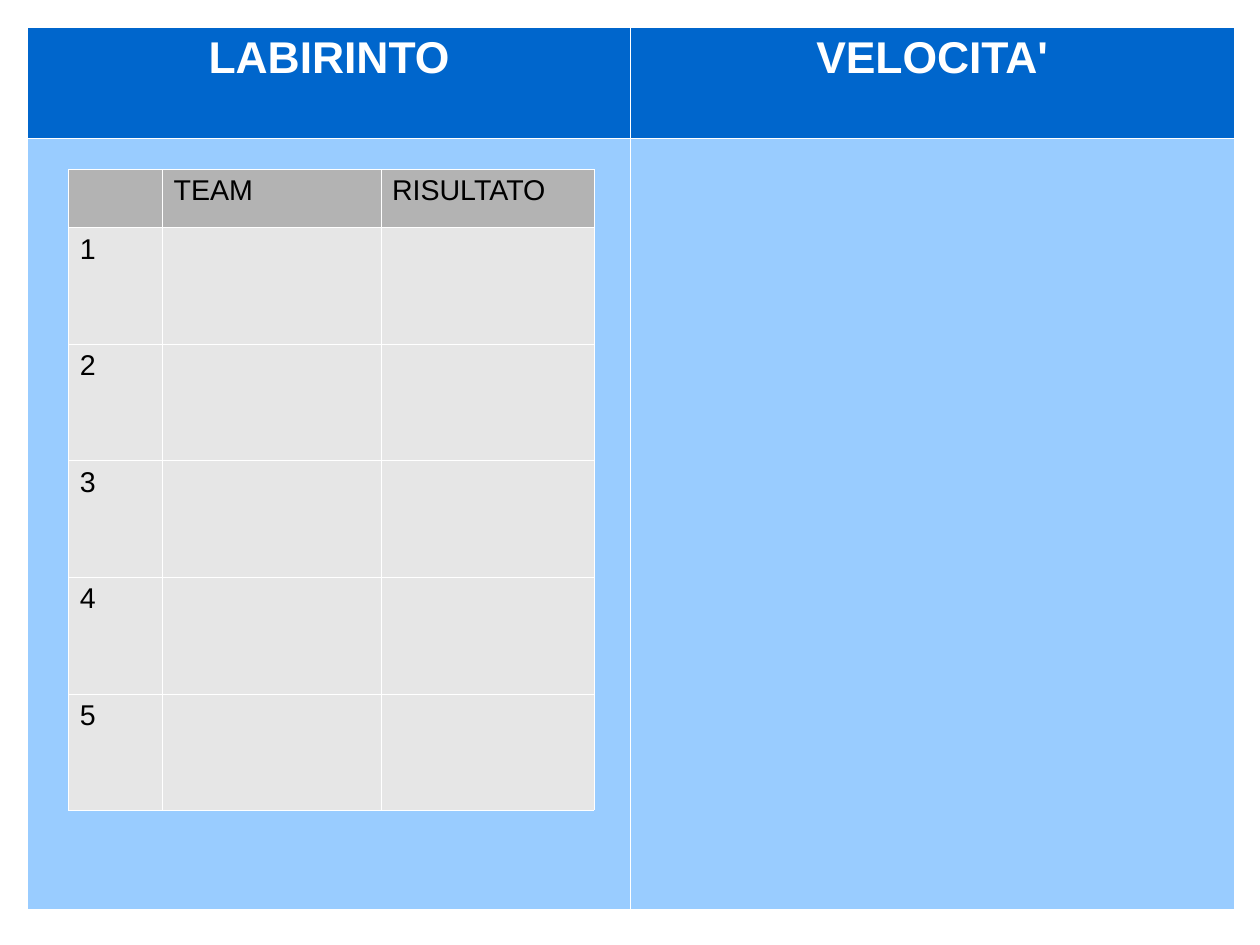
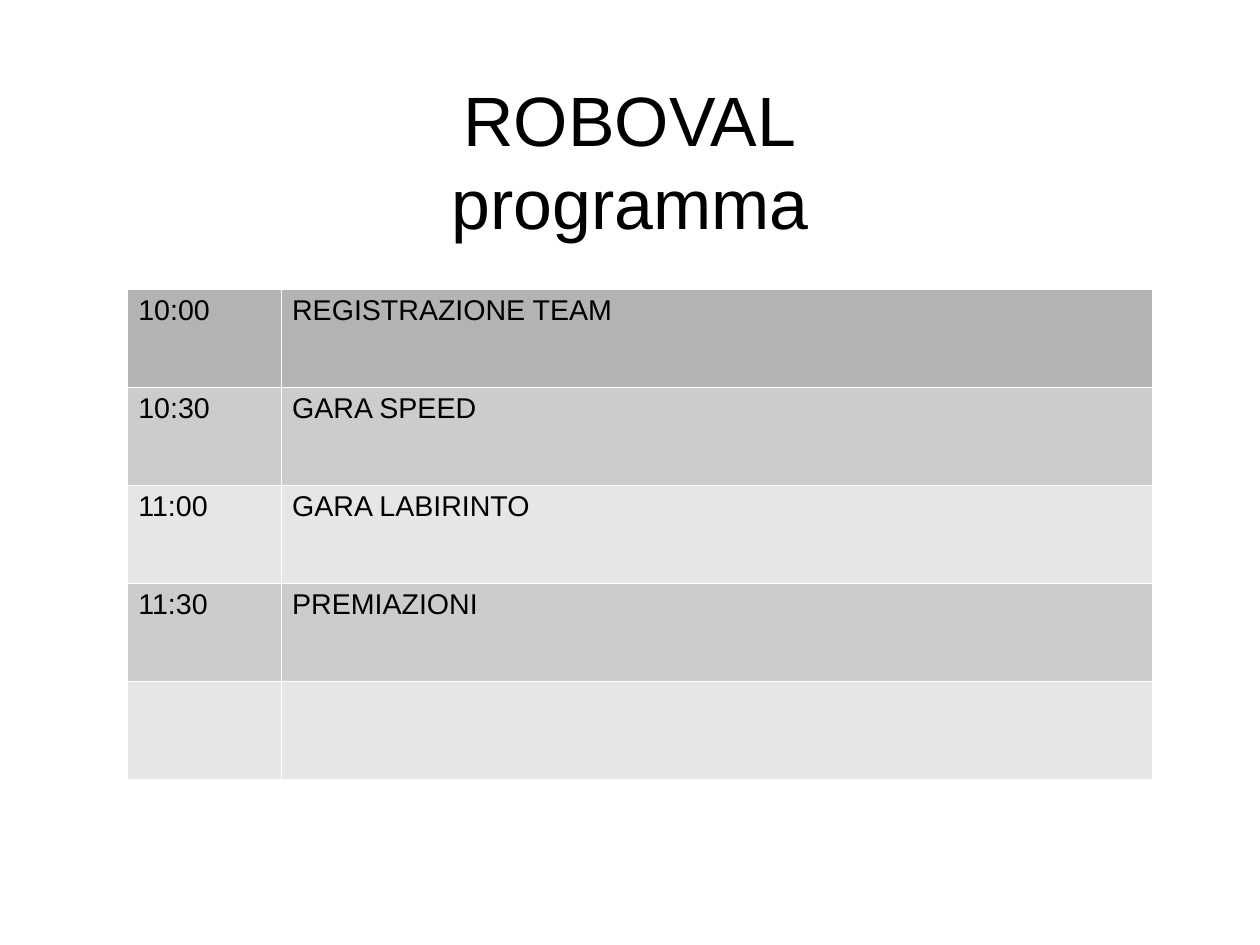
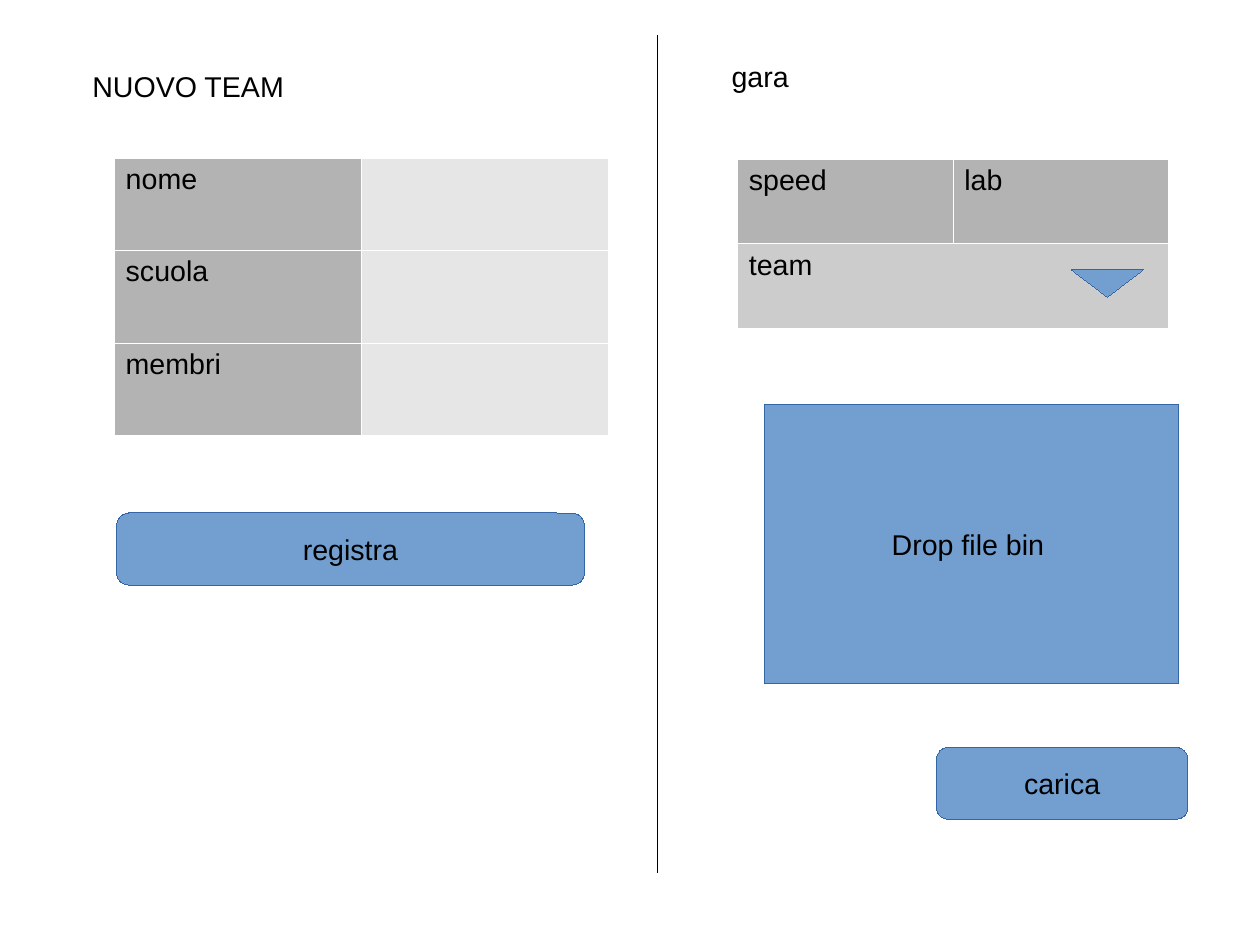
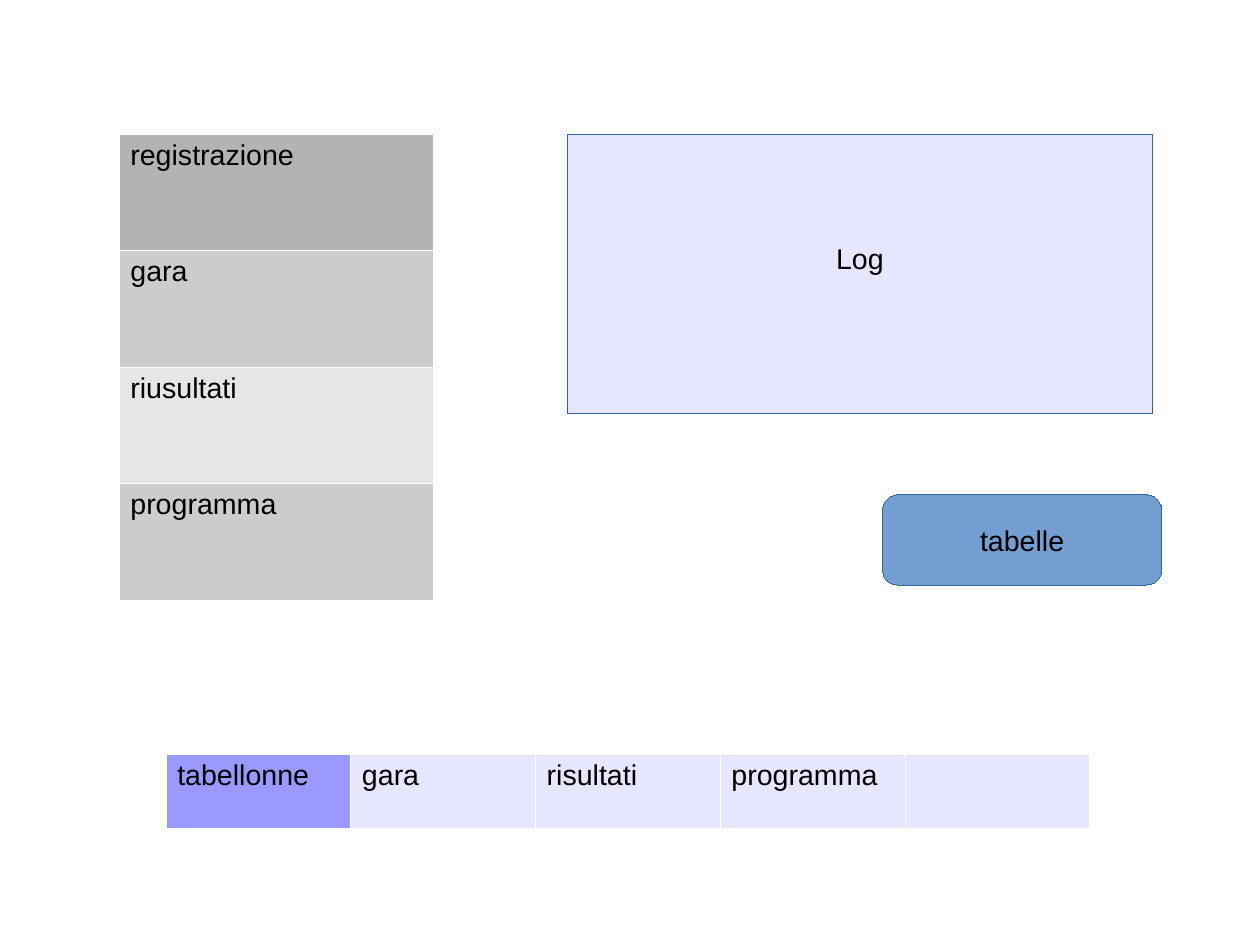
"""Build the four robot contest screens."""
from dataclasses import dataclass
from typing import Any, Optional

from lxml import etree
from pptx import Presentation
from pptx import util as u
from pptx.dml.color import RGBColor
from pptx.enum import shapes, text
from pptx.oxml import ns

WIDTH, HEIGHT = u.Cm(28), u.Cm(21)
FONT = "Arial"
COLOURS = {
    "white": "FFFFFF", "black": "000000",
    "navy": "0066CC", "sky": "99CCFF",
    "dark": "B3B3B3", "mid": "CCCCCC", "light": "E6E6E6",
    "button": "729FCF", "outline": "3465A4",
    "violet": "9999FF", "lilac": "E6E6FF",
}
BODY = {"name": FONT, "size": u.Pt(18), "bold": False}
HEADING = {"name": FONT, "size": u.Pt(28), "bold": True}
TITLE = {"name": FONT, "size": u.Pt(44), "bold": False}
BORDER = 720
HAIRLINE = u.Emu(1)
LEFT, CENTER = text.PP_ALIGN.LEFT, text.PP_ALIGN.CENTER
ROUND = shapes.MSO_SHAPE.ROUNDED_RECTANGLE
RECT = shapes.MSO_SHAPE.RECTANGLE
MERGE = shapes.MSO_SHAPE.FLOWCHART_MERGE


@dataclass(frozen=True)
class Box:
    """A rectangle in percent of the slide's width and height."""
    x: float
    y: float
    w: float
    h: float

    def emu(self) -> tuple[int, int, int, int]:
        """Return left, top, width and height in EMU."""
        return (round(WIDTH * self.x / 100), round(HEIGHT * self.y / 100),
                round(WIDTH * self.w / 100), round(HEIGHT * self.h / 100))


@dataclass(frozen=True)
class Grid:
    """A table with relative column widths and row heights."""
    box: Box
    cells: list[list[str]]
    fills: list[list[str]]
    cols: tuple[float, ...]
    rows: tuple[float, ...]


@dataclass(frozen=True)
class Panel:
    """A filled shape with an optional centred label."""
    box: Box
    label: str = ""
    kind: Any = ROUND
    fill: str = "button"
    bottom: float = 0.05


@dataclass(frozen=True)
class Label:
    """Free text on the slide."""
    box: Box
    words: str


def rgb(name: str) -> RGBColor:
    """Return the named colour."""
    return RGBColor.from_string(COLOURS[name])


def write(tf: Any, words: str, fmt: dict[str, Any] = BODY,
          colour: str = "black", align: Any = LEFT) -> None:
    """Fill a text frame with one formatted paragraph."""
    p = tf.paragraphs[0]
    p.text = words
    p.alignment = align
    for r in p.runs:
        for key, value in fmt.items():
            setattr(r.font, key, value)
        r.font.color.rgb = rgb(colour)


def add_borders(cell: Any) -> None:
    """Give a cell hairline white borders."""
    props = cell._tc.get_or_add_tcPr()
    for i, side in enumerate(("lnL", "lnR", "lnT", "lnB")):
        ln = etree.Element(ns.qn(f"a:{side}"), w=str(BORDER))
        fill = etree.SubElement(ln, ns.qn("a:solidFill"))
        etree.SubElement(fill, ns.qn("a:srgbClr"), val=COLOURS["white"])
        props.insert(i, ln)


def add_grid(s: Any, grid: Grid, fmt: dict[str, Any] = BODY,
             colour: str = "black", align: Any = LEFT) -> Any:
    """Draw a table and return it."""
    x, y, w, h = grid.box.emu()
    table = s.shapes.add_table(len(grid.rows), len(grid.cols), x, y, w, h).table
    table.first_row = table.horz_banding = False
    for col, share in zip(table.columns, grid.cols):
        col.width = round(w * share / sum(grid.cols))
    for row, share in zip(table.rows, grid.rows):
        row.height = round(h * share / sum(grid.rows))
    for row, words, fills in zip(table.rows, grid.cells, grid.fills):
        for cell, word, fill in zip(row.cells, words, fills):
            cell.fill.solid()
            cell.fill.fore_color.rgb = rgb(fill)
            add_borders(cell)
            if word:
                write(cell.text_frame, word, fmt, colour, align)
    return table


def add_panel(s: Any, panel: Panel) -> None:
    """Draw a filled and outlined shape."""
    sp = s.shapes.add_shape(panel.kind, *panel.box.emu())
    sp.shadow.inherit = False
    sp.fill.solid()
    sp.fill.fore_color.rgb = rgb(panel.fill)
    sp.line.color.rgb = rgb("outline")
    sp.line.width = HAIRLINE
    if panel.label:
        tf = sp.text_frame
        tf.word_wrap = False
        tf.vertical_anchor = text.MSO_ANCHOR.MIDDLE
        tf.margin_bottom = u.Inches(panel.bottom)
        write(tf, panel.label, align=CENTER)


def add_label(s: Any, label: Label, fmt: dict[str, Any] = BODY,
              align: Any = LEFT, margin: Optional[int] = None) -> Any:
    """Draw a wrapping text box and return its text frame."""
    tf = s.shapes.add_textbox(*label.box.emu()).text_frame
    tf.word_wrap = True
    if margin is not None:
        for side in ("left", "top", "right", "bottom"):
            setattr(tf, f"margin_{side}", margin)
    write(tf, label.words, fmt, align=align)
    return tf


def add_divider(s: Any, box: Box) -> None:
    """Draw a thin black line across a box."""
    x, y, w, h = box.emu()
    line = s.shapes.add_connector(shapes.MSO_CONNECTOR.STRAIGHT, x, y, x + w, y + h)
    line.line.color.rgb = rgb("black")
    line.line.width = HAIRLINE
    etree.SubElement(line._element.spPr, ns.qn("a:effectLst"))


def build_scores(s: Any) -> None:
    """Draw the scoreboard."""
    add_grid(s, Grid(Box(2.18, 2.9, 95.73, 93.35),
                     [["LABIRINTO", "VELOCITA'"], ["", ""]],
                     [["navy"] * 2, ["sky"] * 2], (1, 1), (0.97, 6.75)),
             HEADING, "white", CENTER)
    ranks = [[str(n), "", ""] for n in range(1, 6)]
    add_grid(s, Grid(Box(5.44, 17.9, 41.74, 67.84),
                     [["", "TEAM", "RISULTATO"], *ranks],
                     [["dark"] * 3] + [["light"] * 3] * len(ranks),
                     (0.82, 1.91, 1.87), (1, 2, 2, 2, 2, 2)))


def build_programme(s: Any) -> None:
    """Draw the timetable of the day."""
    tf = add_label(s, Label(Box(4.99, 8.59, 90.02, 16.69), "ROBOVAL\nprogramma"),
                   TITLE, CENTER, 0)
    tf.vertical_anchor = text.MSO_ANCHOR.MIDDLE
    events = [["10:00", "REGISTRAZIONE TEAM"], ["10:30", "GARA SPEED"],
              ["11:00", "GARA LABIRINTO"], ["11:30", "PREMIAZIONI"], ["", ""]]
    bands = ("dark", "mid", "light", "mid", "light")
    add_grid(s, Grid(Box(10.07, 30.59, 81.4, 51.87), events,
                     [[band] * 2 for band in bands], (3, 17), (1,) * len(events)))


def build_forms(s: Any) -> None:
    """Draw the team and race forms."""
    fields = [["nome", ""], ["scuola", ""], ["membri", ""]]
    add_grid(s, Grid(Box(9.07, 16.69, 39.2, 29.38), fields,
                     [["dark", "light"]] * len(fields), (1, 1), (1, 1, 1)))
    add_divider(s, Box(52.18, 3.75, 0, 88.63))
    race = add_grid(s, Grid(Box(58.53, 16.81, 34.21, 17.9),
                            [["speed", "lab"], ["team", ""]],
                            [["dark"] * 2, ["mid"] * 2], (1, 1), (1, 1)))
    race.cell(1, 0).merge(race.cell(1, 1))
    for panel in (
        Panel(Box(9.26, 54.29, 37.11, 7.62), "registra"),
        Panel(Box(85.03, 28.54, 5.72, 2.9), kind=MERGE),
        Panel(Box(60.71, 42.81, 32.85, 29.5), "Drop file bin ", RECT),
        Panel(Box(74.32, 79.08, 19.96, 7.62), "carica"),
    ):
        add_panel(s, panel)
    for label in (Label(Box(6.44, 6.65, 40.74, 4.59), "NUOVO TEAM"),
                  Label(Box(57.17, 5.68, 32.85, 4.59), "gara")):
        add_label(s, label)


def build_menus(s: Any) -> None:
    """Draw the menus and the log."""
    pages = ("registrazione", "gara", "riusultati", "programma")
    add_grid(s, Grid(Box(9.44, 14.15, 24.95, 49.33), [[page] for page in pages],
                     [["dark"], ["mid"], ["light"], ["mid"]], (1,), (1,) * len(pages)))
    tabs = ["tabellonne", "gara", "risultati", "programma", ""]
    add_grid(s, Grid(Box(13.16, 79.81, 73.32, 7.86), [tabs],
                     [["violet"] + ["lilac"] * 4], (1,) * len(tabs), (1,)))
    add_panel(s, Panel(Box(45.01, 14.27, 46.46, 29.5), "Log", RECT, "lilac", 0.34))
    add_panel(s, Panel(Box(70.05, 52.36, 22.14, 9.55), "tabelle"))


def main() -> None:
    """Build and save the presentation."""
    prs = Presentation()
    prs.slide_width, prs.slide_height = WIDTH, HEIGHT
    for build in (build_scores, build_programme, build_forms, build_menus):
        build(prs.slides.add_slide(prs.slide_layouts[6]))
    prs.save("out.pptx")


if __name__ == "__main__":
    main()
